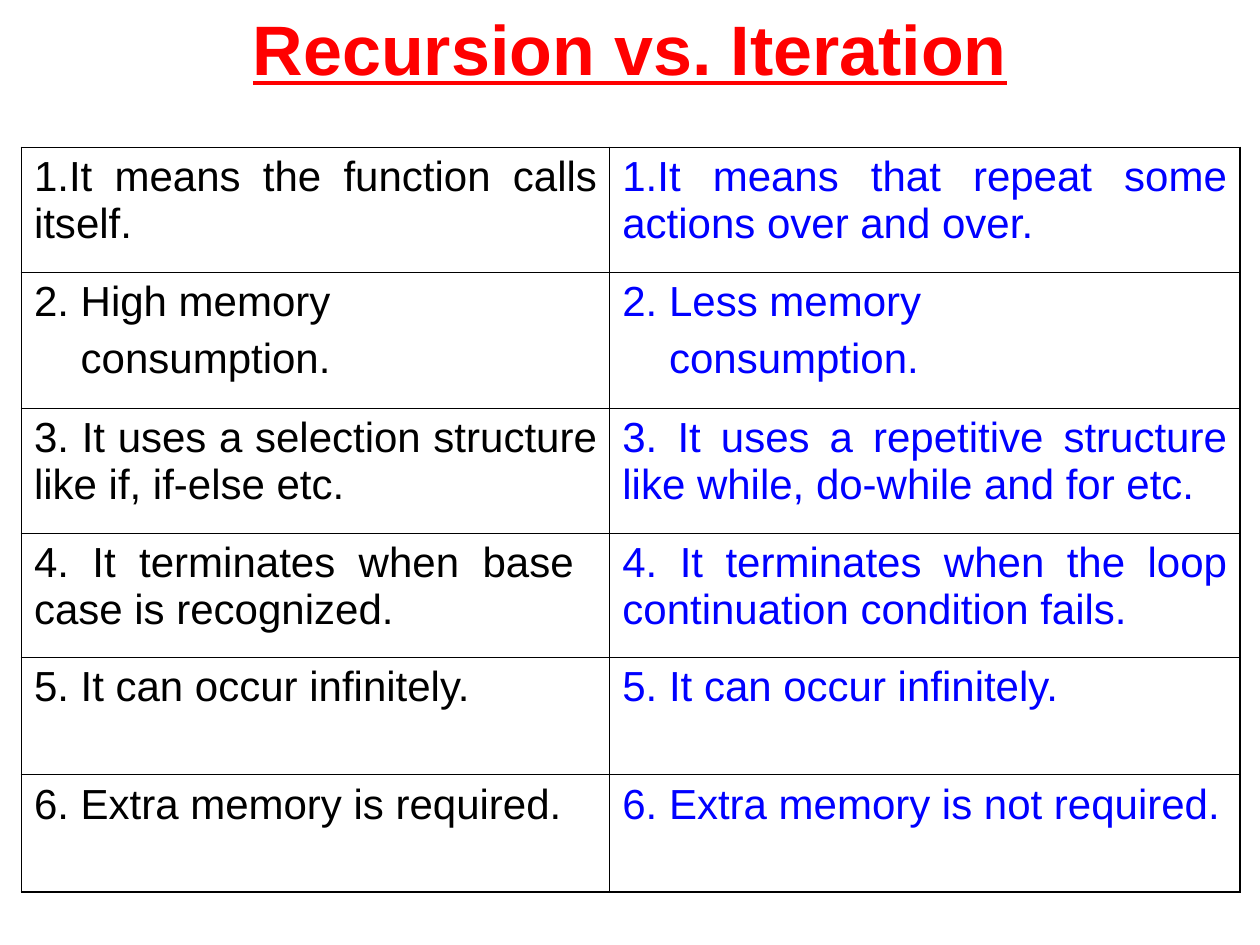
import pptx
import pptx.util
import pptx.dml.color
import pptx.enum.text
import pptx.oxml.ns
import lxml.etree

Inches, Pt = pptx.util.Inches, pptx.util.Pt
RGBColor = pptx.dml.color.RGBColor
ALIGN, ANCHOR = pptx.enum.text.PP_ALIGN, pptx.enum.text.MSO_ANCHOR
qn = pptx.oxml.ns.qn

RED = RGBColor(0xFF, 0x00, 0x00)
BLACK = RGBColor(0x00, 0x00, 0x00)
BLUE = RGBColor(0x00, 0x00, 0xFF)
OUTER_LINE, INNER_LINE = Pt(1.08), Pt(0.45)

COLUMN_WIDTHS = [4.67, 5]
COLUMN_COLORS = [BLACK, BLUE]
ROW_HEIGHTS = [0.99, 1.08, 0.99, 0.99, 0.93, 0.93]
COMPARISON = [
    (["1.It means the function calls itself."],
     ["1.It means that repeat some actions over and over."]),
    (["2. High memory", "consumption."],
     ["2. Less memory", "consumption."]),
    (["3. It uses a selection structure like if, if-else etc."],
     ["3. It uses a repetitive structure like while, do-while and for etc."]),
    (["4. It terminates when base  case is recognized."],
     ["4. It terminates when the loop continuation condition fails."]),
    (["5. It can occur infinitely."], ["5. It can occur infinitely."]),
    (["6. Extra memory is required."], ["6. Extra memory is not required."]),
]


def write_text(frame, lines, size=24, color=BLACK, bold=False, underline=False,
               align=ALIGN.JUSTIFY, before=0, hang=0):
    """Write one paragraph per line; lines after the first are indented by hang."""
    frame.word_wrap = True
    for i, line in enumerate(lines):
        paragraph = frame.add_paragraph() if i else frame.paragraphs[0]
        paragraph.alignment = align
        paragraph.space_before = Pt(before)
        if i and hang:
            properties = paragraph._p.get_or_add_pPr()
            properties.set("marL", str(Inches(hang)))
            properties.set("indent", "0")
        run = paragraph.add_run()
        run.text = line
        font = run.font
        font.name, font.size = "Arial", Pt(size)
        font.bold, font.underline = bold, underline
        font.color.rgb = color


def set_borders(cell, widths):
    """Draw black cell borders from a mapping of side (L, R, T, B) to width."""
    properties = cell._tc.get_or_add_tcPr()
    for position, (side, width) in enumerate(widths.items()):
        line = lxml.etree.Element(qn("a:ln" + side), w=str(width))
        fill = lxml.etree.SubElement(line, qn("a:solidFill"))
        lxml.etree.SubElement(fill, qn("a:srgbClr"), val=str(BLACK))
        properties.insert(position, line)


def add_title(slide, left, top, width, height):
    """Place the underlined heading in its box."""
    heading = slide.shapes.add_textbox(
        Inches(left), Inches(top), Inches(width), Inches(height))
    heading.text_frame.vertical_anchor = ANCHOR.MIDDLE
    write_text(heading.text_frame, ["Recursion vs. Iteration"], size=40,
               color=RED, bold=True, underline=True, align=ALIGN.CENTER)


def add_comparison(slide, left, top):
    """Place the two-column comparison table with a heavier outer border."""
    row_count, column_count = len(ROW_HEIGHTS), len(COLUMN_WIDTHS)
    table = slide.shapes.add_table(
        row_count, column_count, Inches(left), Inches(top),
        Inches(sum(COLUMN_WIDTHS)), Inches(sum(ROW_HEIGHTS))).table
    table.first_row = table.horz_banding = False
    for column, width in zip(table.columns, COLUMN_WIDTHS):
        column.width = Inches(width)
    for r, (row, height) in enumerate(zip(table.rows, ROW_HEIGHTS)):
        row.height = Inches(height)
        for c, cell in enumerate(row.cells):
            cell.fill.background()
            cell.vertical_anchor = ANCHOR.TOP
            write_text(cell.text_frame, COMPARISON[r][c],
                       color=COLUMN_COLORS[c], before=6, hang=0.37)
            on_edge = {"L": c == 0, "R": c == column_count - 1,
                       "T": r == 0, "B": r == row_count - 1}
            set_borders(cell, {side: OUTER_LINE if edge else INNER_LINE
                               for side, edge in on_edge.items()})


presentation = pptx.Presentation()
presentation.slide_width, presentation.slide_height = Inches(10), Inches(7.5)
slide = presentation.slides.add_slide(presentation.slide_layouts[6])
add_title(slide, 0.5, 0, 9, 0.75)
add_comparison(slide, 0.17, 1.17)
presentation.save("out.pptx")
